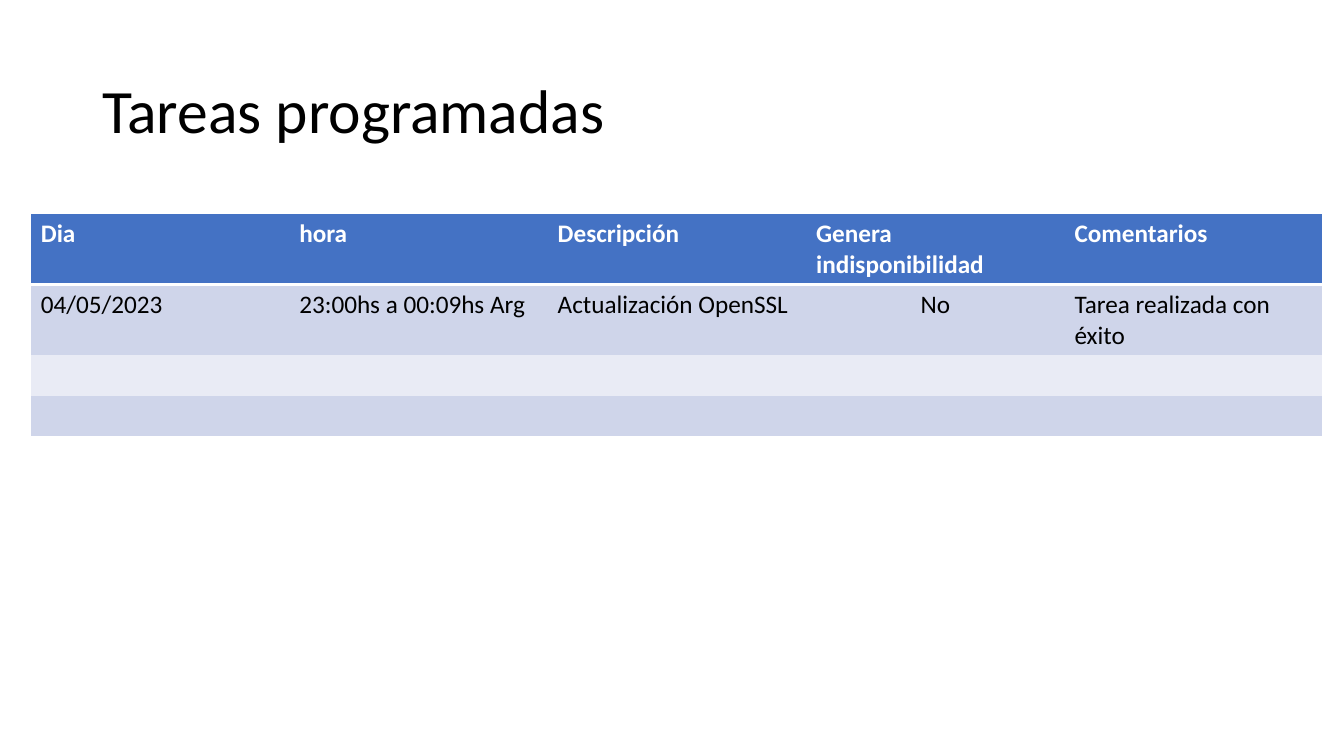
from lxml import etree
from pptx import Presentation
from pptx.dml.color import RGBColor
from pptx.enum.text import MSO_ANCHOR, PP_ALIGN
from pptx.oxml.ns import qn
from pptx.util import Pt

LEFT, CENTER = PP_ALIGN.LEFT, PP_ALIGN.CENTER
MIDDLE = MSO_ANCHOR.MIDDLE

FONT = "Calibri"
WHITE, BLACK = "FFFFFF", "000000"
HEADER_FILL = "4472C4"
BAND_FILLS = ("CFD5EA", "E9EBF5")
PLAIN_STYLE = "{2D5ABB26-0587-4C30-8999-92F81FD0307C}"

COLUMN_WIDTH, ROW_HEIGHT = 184.6, 29.2
CENTERED_COLUMN = 3
TASK_ROWS = [
    ["Dia", "hora", "Descripción", "Genera indisponibilidad", "Comentarios"],
    ["04/05/2023", "23:00hs a 00:09hs Arg", "Actualización OpenSSL", "No",
     "Tarea realizada con éxito "],
    [""] * 5,
    [""] * 5,
]


def color(hex_text):
    return RGBColor.from_string(hex_text)


def write_text(frame, text, size=18, ink=BLACK, bold=False, align=LEFT, spacing=1.0):
    para = frame.paragraphs[0]
    para.alignment = align
    para.line_spacing = spacing
    para.font.size = Pt(size)
    if text:
        span = para.add_run()
        span.text = text
        span.font.name = FONT
        span.font.size = Pt(size)
        span.font.bold = bold
        span.font.color.rgb = color(ink)


def add_title(page, text, left, top, width, height):
    box = page.shapes.add_textbox(Pt(left), Pt(top), Pt(width), Pt(height))
    box.text_frame.word_wrap = True
    box.text_frame.vertical_anchor = MIDDLE
    write_text(box.text_frame, text, size=44, spacing=0.9)


def set_borders(cell, widths):
    """Draw white borders; widths maps the sides L, R, T, B to points."""
    properties = cell._tc.get_or_add_tcPr()
    for side in "LRTB":
        width = widths.get(side, 0)
        line = etree.SubElement(properties, qn(f"a:ln{side}"), w=str(Pt(width)))
        if width:
            fill = etree.SubElement(line, qn("a:solidFill"))
            etree.SubElement(fill, qn("a:srgbClr"), val=WHITE)
        else:
            etree.SubElement(line, qn("a:noFill"))


def outer_borders(row, column, row_count, column_count):
    """White frame around the table, with a heavier rule under the header."""
    widths = {}
    if column == 0:
        widths["L"] = 1
    if column == column_count - 1:
        widths["R"] = 1
    if row == 0:
        widths.update(T=1, B=3)
    if row == 1:
        widths["T"] = 3
    if row == row_count - 1:
        widths["B"] = 1
    return widths


def add_task_table(page, rows, left, top):
    row_count, column_count = len(rows), len(rows[0])
    frame = page.shapes.add_table(
        row_count, column_count, Pt(left), Pt(top),
        Pt(COLUMN_WIDTH * column_count), Pt(ROW_HEIGHT * row_count))
    table = frame.table
    table._tbl.tblPr.find(qn("a:tableStyleId")).text = PLAIN_STYLE

    for row, texts in enumerate(rows):
        header = row == 0
        for column, text in enumerate(texts):
            cell = table.cell(row, column)
            set_borders(cell, outer_borders(row, column, row_count, column_count))
            cell.fill.solid()
            cell.fill.fore_color.rgb = color(
                HEADER_FILL if header else BAND_FILLS[(row - 1) % 2])
            centered = column == CENTERED_COLUMN and not header
            write_text(cell.text_frame, text, bold=header,
                       ink=WHITE if header else BLACK,
                       align=CENTER if centered else LEFT)


def main():
    deck = Presentation()
    deck.slide_width, deck.slide_height = Pt(960), Pt(540)
    page = deck.slides.add_slide(deck.slide_layouts[6])

    # Title
    add_title(page, "Tareas programadas", 66, 28.75, 828, 104.4)

    # Scheduled tasks
    add_task_table(page, TASK_ROWS, 22, 152.8)

    deck.save("out.pptx")


main()
